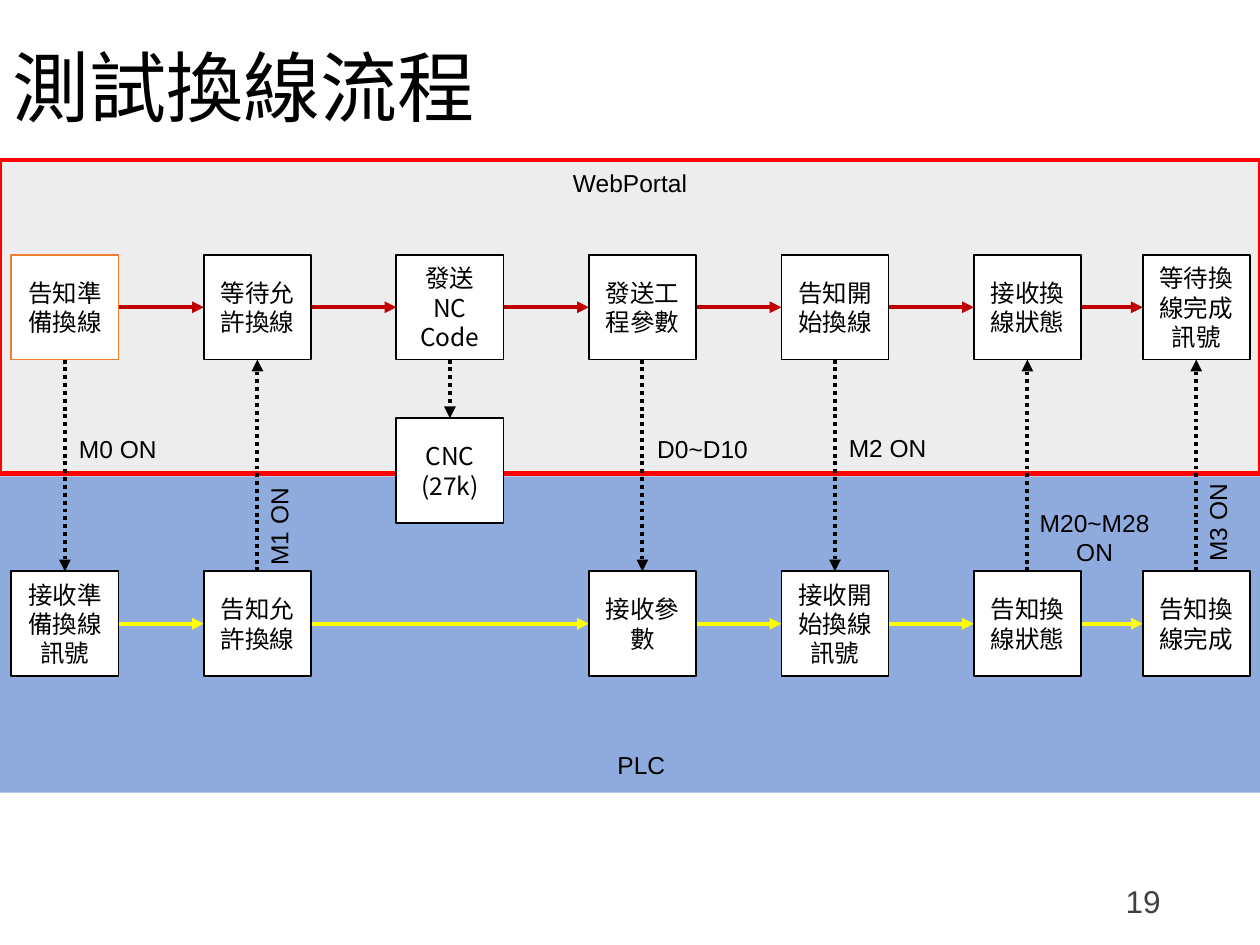
from lxml import etree
from pptx import Presentation
from pptx.dml.color import RGBColor
from pptx.enum import dml, shapes, text
from pptx.oxml import ns
from pptx.util import Pt

HUES = {"ink": "000000", "page": "404040", "cell": "FFFFFF", "web": "EDEDED",
        "frame": "FF0000", "plc": "8FAADC", "start": "ED7D31",
        "flow": "C00000", "reply": "FFFF00"}
ARIAL, CJK = "Arial", "Noto Sans CJK SC"
CELL_W, CELL_H, ROW_TOP = 61.2, 59.8, 54.3
COLS = [6.5 + 110 * i for i in range(6)] + [653]
WEB, PLC = (0, 91.4, 720, 179.3), (0, 272.2, 720, 180.7)


def hue(name):
    """Return the colour of that name."""
    return RGBColor.from_string(HUES[name])


def write(shape, words, size, font, ink="ink", align=text.PP_ALIGN.CENTER):
    """Fill a shape with text and format every run."""
    frame = shape.text_frame
    frame.text = words
    frame.word_wrap = True
    for para in frame.paragraphs:
        para.alignment = align
        for run in para.runs:
            run.font.size = Pt(size)
            run.font.name = font
            run.font.color.rgb = hue(ink)
            east = etree.SubElement(run.font._element, ns.qn("a:ea"))
            east.set("typeface", font)
    return frame


def label(slide, box, words, turn=0):
    """Add a centred label, turned if asked."""
    note = slide.shapes.add_textbox(*map(Pt, box))
    note.rotation = turn
    write(note, words, 14, ARIAL)


def block(slide, box, fill, line=None, width=1):
    """Add a flat rectangle."""
    rect = slide.shapes.add_shape(shapes.MSO_SHAPE.RECTANGLE, *map(Pt, box))
    rect.shadow.inherit = False
    rect.fill.solid()
    rect.fill.fore_color.rgb = hue(fill)
    if line:
        rect.line.color.rgb = hue(line)
        rect.line.width = Pt(width)
    else:
        rect.line.fill.background()
    return rect


def arrow(slide, start, end, ink, dotted=False):
    """Add an arrow from start to end."""
    link = slide.shapes.add_connector(
        shapes.MSO_CONNECTOR.STRAIGHT, *map(Pt, (*start, *end)))
    link.line.color.rgb = hue(ink)
    link.line.width = Pt(2.25)
    if dotted:
        link.line.dash_style = dml.MSO_LINE.ROUND_DOT
    tip = etree.SubElement(link.line._get_or_add_ln(), ns.qn("a:tailEnd"))
    tip.set("type", "triangle")
    etree.SubElement(link._element.spPr, ns.qn("a:effectLst"))


def cell(slide, left, top, words, line="ink"):
    """Add one step of the process."""
    rect = block(slide, (left, top, CELL_W, CELL_H), "cell", line)
    frame = write(rect, words, 14, CJK)
    frame.vertical_anchor = text.MSO_ANCHOR.MIDDLE


def band(slide, box, name, fill, shift, drop, line=None):
    """Add the ground of a lane with its name."""
    block(slide, box, fill, line, 2.5)
    left, top, width, _ = box
    label(slide, (left + width / 2 - 71.5 + shift, top + drop, 143, 24.5), name)


def lane(slide, box, steps, ink, first="ink"):
    """Add a row of steps, by column, joined by arrows."""
    left, top = box[0], box[1] + ROW_TOP
    mid = top + CELL_H / 2
    spots = [left + COLS[col] for col in steps]
    for here, after in zip(spots, spots[1:]):
        arrow(slide, (here + CELL_W, mid), (after, mid), ink)
    for spot, words in zip(spots, steps.values()):
        cell(slide, spot, top, words, first if spot == spots[0] else "ink")


def signals(slide, upper, lower):
    """Add dotted signals between two lanes, with their labels."""
    high = upper[1] + ROW_TOP + CELL_H
    low = lower[1] + ROW_TOP
    for col, rises in {0: False, 1: True, 3: False, 4: False,
                       5: True, 6: True}.items():
        mid = upper[0] + COLS[col] + CELL_W / 2
        ends = [(mid, high), (mid, low)]
        arrow(slide, *(reversed(ends) if rises else ends), "ink", True)
    for left, drop, width, words, turn in [
            (31.7, 39.2, 71.3, "M0 ON", 0), (123.8, 83.2, 71.3, "M1 ON", 270),
            (365.8, 39.2, 71.3, "D0~D10", 0), (471.6, 38.5, 71.3, "M2 ON", 0),
            (582, 81, 87, "M20~M28\nON", 0), (660.2, 81, 71.3, "M3 ON", 270)]:
        label(slide, (upper[0] + left, high + drop, width, 24.5), words, turn)


def machine(slide, upper):
    """Add the machine below the sending step."""
    left = upper[0] + COLS[2]
    high = upper[1] + ROW_TOP + CELL_H
    cell(slide, left, high + 33.5, "CNC\n(27k)")
    mid = left + CELL_W / 2
    arrow(slide, (mid, high), (mid, high + 33.5), "ink", True)


def heading(slide, box, words):
    """Place the title."""
    title = slide.shapes.title
    title.left, title.top, title.width, title.height = map(Pt, box)
    frame = write(title, words, 44, "Calibri", align=text.PP_ALIGN.LEFT)
    frame.vertical_anchor = text.MSO_ANCHOR.MIDDLE
    frame.paragraphs[0].line_spacing = 0.9


def footer(slide, box, words):
    """Place the page number."""
    note = slide.shapes.add_textbox(*map(Pt, box))
    frame = write(note, words, 18, ARIAL, "page", text.PP_ALIGN.RIGHT)
    frame.vertical_anchor = text.MSO_ANCHOR.MIDDLE


def main():
    """Build the slide and save it."""
    deck = Presentation()
    deck.slide_width, deck.slide_height = Pt(720), Pt(540)
    slide = deck.slides.add_slide(deck.slide_layouts[5])
    heading(slide, (0, 0, 620.6, 104.4), "測試換線流程")
    footer(slide, (508.3, 500.4, 162, 28.8), "19")
    band(slide, WEB, "WebPortal", "web", 0, 0.8, "frame")
    band(slide, PLC, "PLC", "plc", 6.5, 152.6)
    signals(slide, WEB, PLC)
    lane(slide, PLC, {0: "接收準備換線訊號", 1: "告知允許換線", 3: "接收參數",
                      4: "接收開始換線訊號", 5: "告知換線狀態",
                      6: "告知換線完成"}, "reply")
    lane(slide, WEB, {0: "告知準備換線", 1: "等待允許換線", 2: "發送NC Code",
                      3: "發送工程參數", 4: "告知開始換線", 5: "接收換線狀態",
                      6: "等待換線完成訊號"}, "flow", "start")
    machine(slide, WEB)
    deck.save("out.pptx")


if __name__ == "__main__":
    main()
